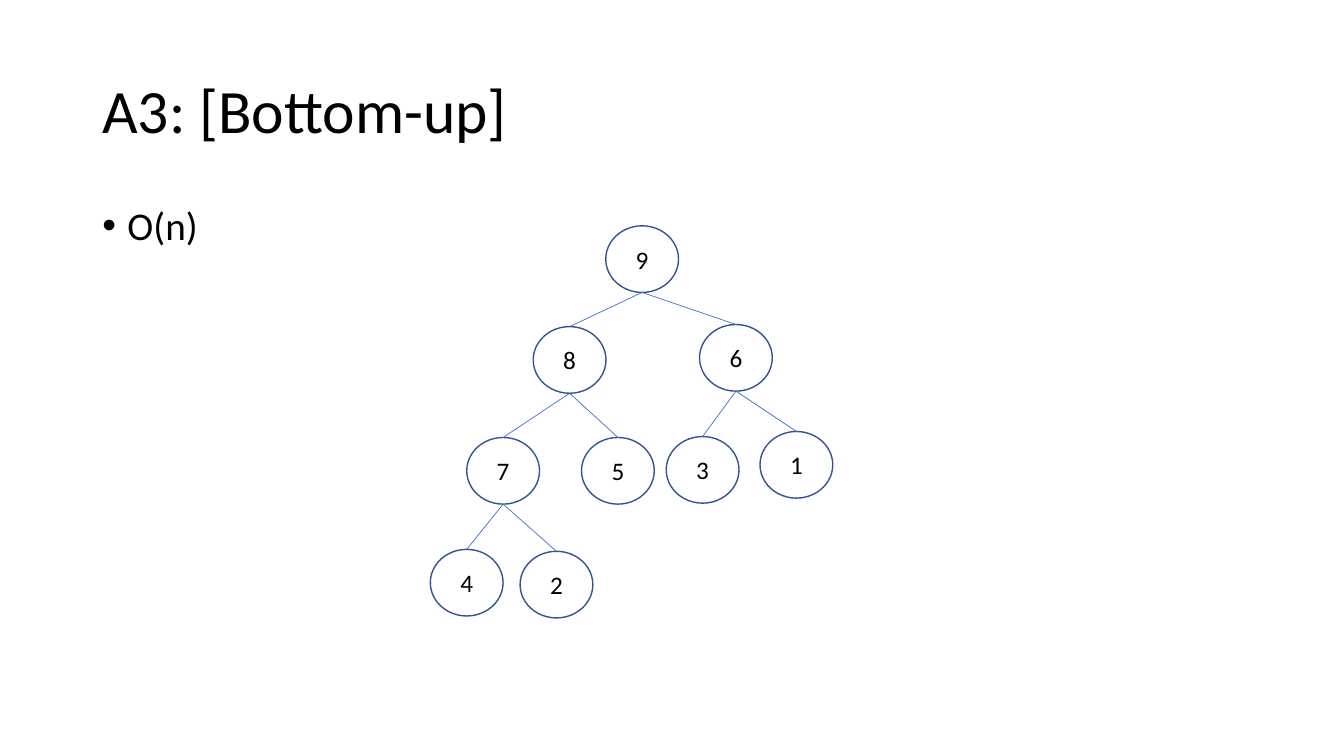
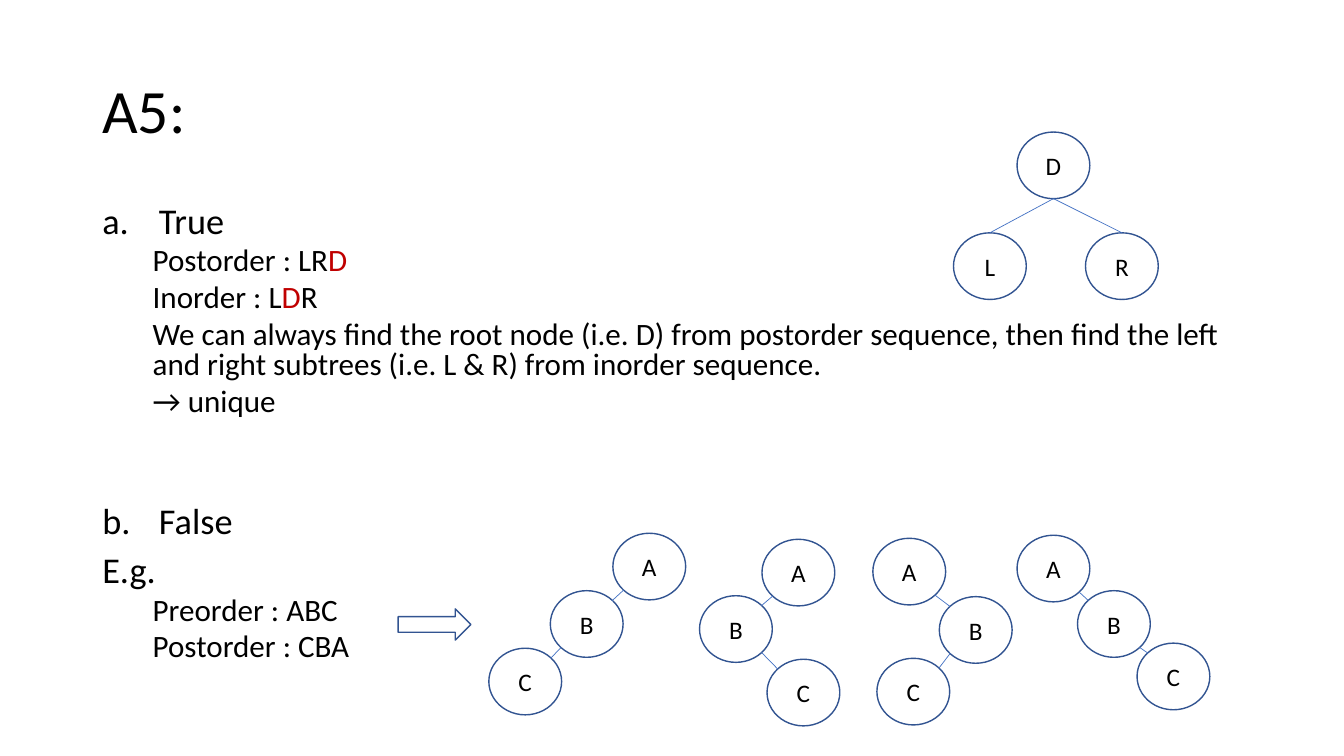
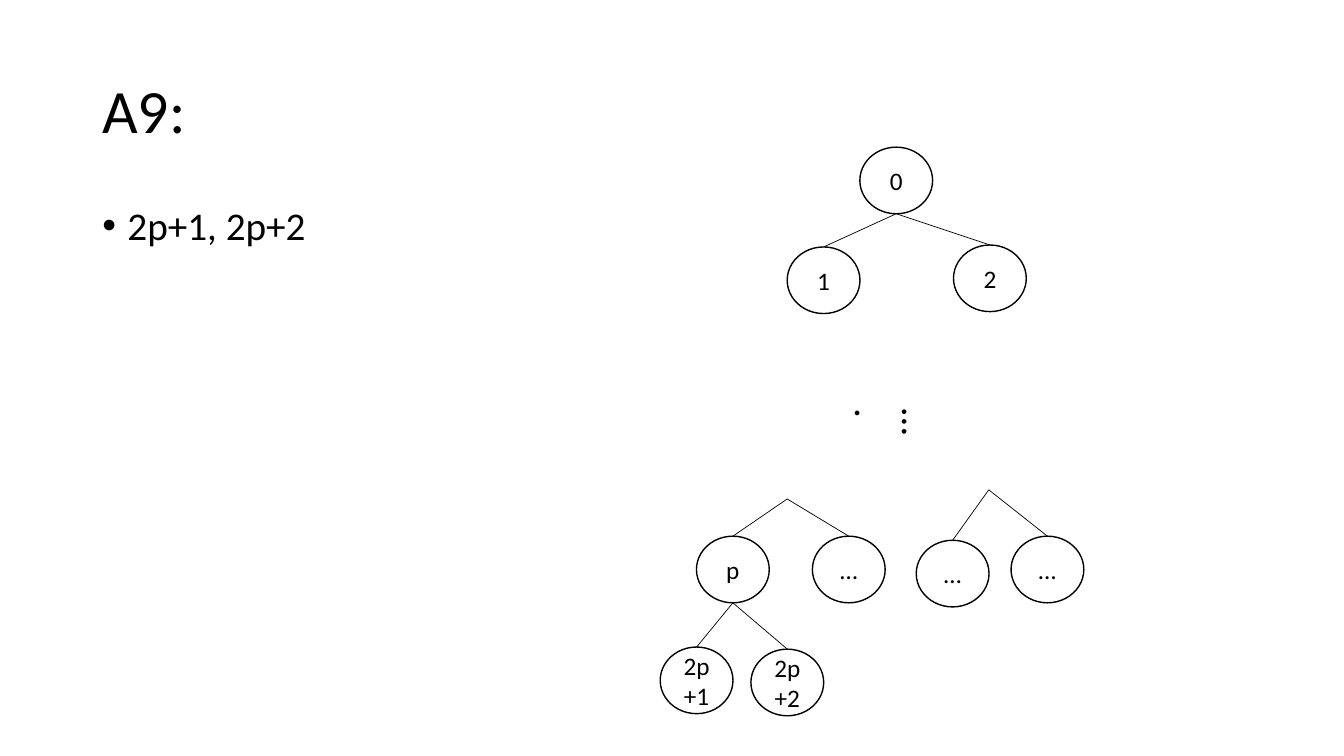
from dataclasses import dataclass
from typing import Optional

from lxml import etree
from pptx import Presentation
from pptx.dml.color import RGBColor
from pptx.enum.shapes import MSO_CONNECTOR, MSO_SHAPE
from pptx.enum.text import MSO_ANCHOR, MSO_AUTO_SIZE, PP_ALIGN
from pptx.oxml.ns import qn
from pptx.util import Pt

OVAL = MSO_SHAPE.OVAL
RIGHT_ARROW = MSO_SHAPE.RIGHT_ARROW
STRAIGHT = MSO_CONNECTOR.STRAIGHT
TOP, MIDDLE = MSO_ANCHOR.TOP, MSO_ANCHOR.MIDDLE
CENTER = PP_ALIGN.CENTER
GROW = MSO_AUTO_SIZE.SHAPE_TO_FIT_TEXT

FONT = "Calibri"
COLORS = {"text": "000000", "white": "FFFFFF", "outline": "325491",
          "link": "4472C4", "accent": "C00000"}
NODE_W, NODE_H = 52, 47.6
DIAGONAL = 0.35
MARGIN, CONTENT_W = 66, 828


@dataclass(frozen=True)
class Para:
    runs: tuple[tuple[str, str], ...]
    size: float = 28
    spacing: float = 0.9
    before: float = 10
    left: float = 0
    hang: float = 0
    bullet: str = ""


@dataclass(frozen=True)
class Node:
    text: str
    x: float
    y: float
    parent: Optional[int] = None
    apex: Optional[tuple[float, float]] = None

    @property
    def center(self) -> tuple[float, float]:
        return self.x + NODE_W / 2, self.y + NODE_H / 2


def rgb(name: str) -> RGBColor:
    return RGBColor.from_string(COLORS[name])


def write(p, text: str, size: float = 18, color: str = "text") -> None:
    r = p.add_run()
    r.text = text
    r.font.name = FONT
    r.font.size = Pt(size)
    r.font.color.rgb = rgb(color)


def set_bullet(p, para: Para) -> None:
    pPr = p._p.get_or_add_pPr()
    pPr.set("marL", str(Pt(para.left)))
    pPr.set("indent", str(Pt(-para.hang)))
    if para.bullet == "•":
        etree.SubElement(pPr, qn("a:buFont"), typeface="Arial")
        etree.SubElement(pPr, qn("a:buChar"), char=para.bullet)
    elif para.bullet:
        start = "abcdefgh".index(para.bullet) + 1
        etree.SubElement(pPr, qn("a:buAutoNum"), type="alphaLcPeriod", startAt=str(start))


def add_text(s, x: float, y: float, w: float, h: float, paras: list[Para], anchor=TOP):
    sp = s.shapes.add_textbox(Pt(x), Pt(y), Pt(w), Pt(h))
    tf = sp.text_frame
    tf.word_wrap = True
    tf.vertical_anchor = anchor
    for i, para in enumerate(paras):
        p = tf.add_paragraph() if i else tf.paragraphs[0]
        p.line_spacing = para.spacing
        p.space_before = Pt(para.before)
        set_bullet(p, para)
        for text, color in para.runs:
            write(p, text, size=para.size, color=color)
    return sp


def add_outlined(s, kind, x: float, y: float, w: float, h: float, outline: str):
    sp = s.shapes.add_shape(kind, Pt(x), Pt(y), Pt(w), Pt(h))
    sp.shadow.inherit = False
    sp.line.color.rgb = rgb(outline)
    sp.line.width = Pt(1)
    return sp


def add_node(s, node: Node, outline: str):
    sp = add_outlined(s, OVAL, node.x, node.y, NODE_W, NODE_H, outline)
    sp.fill.solid()
    sp.fill.fore_color.rgb = rgb("white")
    tf = sp.text_frame
    tf.word_wrap = True
    tf.vertical_anchor = MIDDLE
    p = tf.paragraphs[0]
    p.alignment = CENTER
    write(p, node.text)
    return sp


def add_link(s, start: tuple[float, float], end: tuple[float, float], color: str):
    cx = s.shapes.add_connector(STRAIGHT, *(Pt(v) for v in start + end))
    cx.line.color.rgb = rgb(color)
    cx.line.width = Pt(0.5)
    etree.SubElement(cx.element.spPr, qn("a:effectLst"))
    return cx


def draw_tree(s, nodes: list[Node], outline: str = "outline", link: str = "link") -> None:
    ovals = [add_node(s, node, outline) for node in nodes]
    for node, oval in zip(nodes, ovals):
        start = node.apex
        if node.parent is not None:
            parent = nodes[node.parent]
            start = parent.center[0], parent.y + NODE_H
        if start:
            cx = add_link(s, start, (node.center[0], node.y), link)
            cx.end_connect(oval, 0)


def draw_chain(s, nodes: list[Node]) -> None:
    for node in nodes:
        add_node(s, node, "outline")
    dy = NODE_H * DIAGONAL
    for upper, lower in zip(nodes, nodes[1:]):
        (ux, uy), (lx, ly) = upper.center, lower.center
        dx = NODE_W * DIAGONAL * (1 if lx > ux else -1)
        add_link(s, (ux + dx, uy + dy), (lx - dx, ly - dy), "link")


def plain(text: str, **kwargs) -> Para:
    return Para(((text, "text"),), **kwargs)


def point(text: str) -> Para:
    return plain(text, left=18, hang=18, bullet="•")


def answer(letter: str, text: str, before: float = 10) -> Para:
    return plain(text, size=25.9, spacing=0.8, before=before,
                 left=40.5, hang=40.5, bullet=letter)


def detail(*runs: tuple[str, str]) -> Para:
    return Para(runs, size=22.2, spacing=0.8, before=5, left=36)


def add_slide(prs, title: str, body: list[Para]):
    s = prs.slides.add_slide(prs.slide_layouts[6])
    add_text(s, MARGIN, 28.8, CONTENT_W, 104.4, [plain(title, size=44, before=0)], MIDDLE)
    add_text(s, MARGIN, 143.8, CONTENT_W, 342.6, body)
    return s


HEAP = [
    Node("9", 432.7, 161.3),
    Node("8", 380.9, 233.3, 0),
    Node("6", 499.7, 231.8, 0),
    Node("7", 333.4, 312.5, 1),
    Node("5", 415.4, 312.5, 1),
    Node("3", 475.9, 311.8, 2),
    Node("1", 542.9, 308.2, 2),
    Node("4", 307.4, 392.4, 3),
    Node("2", 371.5, 393.8, 3),
]
ROOT_LEFT_RIGHT = [
    Node("D", 726.5, 94.3),
    Node("L", 681.1, 166.3, 0),
    Node("R", 775.4, 166.3, 0),
]
CHAINS = [
    [(437.8, 380.9), (393.1, 421.9), (349.2, 463)],
    [(544.3, 385.2), (499.7, 425.5), (547.9, 470.9)],
    [(623.5, 384.5), (671, 426.2), (626.4, 470.2)],
    [(726.5, 382.3), (769.7, 421.9), (812.2, 459.4)],
]
LEFT_APEX, RIGHT_APEX = (562.3, 356.4), (706.3, 349.9)
INDEXED = [
    Node("0", 614.2, 105.1),
    Node("1", 562.3, 176.4, 0),
    Node("2", 681.1, 175, 0),
    Node("p", 497.5, 383, apex=LEFT_APEX),
    Node("…", 580.3, 383, apex=LEFT_APEX),
    Node("…", 654.5, 385.9, apex=RIGHT_APEX),
    Node("…", 722.2, 383, apex=RIGHT_APEX),
    Node("2p+1", 471.6, 462.2, 3),
    Node("2p+2", 536.4, 463.7, 3),
]


def build_heap_slide(prs) -> None:
    s = add_slide(prs, "A3: [Bottom-up]", [point("O(n)")])
    draw_tree(s, HEAP)


def build_traversal_slide(prs) -> None:
    s = add_slide(prs, "A5:", [
        answer("a", "True"),
        detail(("Postorder : LR", "text"), ("D", "accent")),
        detail(("Inorder : L", "text"), ("D", "accent"), ("R", "text")),
        detail(("We can always find the root node (i.e. D) from postorder sequence, "
                "then find the left and right subtrees (i.e. L & R) from inorder "
                "sequence.", "text")),
        detail(("→ unique", "text")),
        answer("b", "False", before=63),
        plain("E.g.", size=25.9, spacing=0.8),
        detail(("Preorder : ABC", "text")),
        detail(("Postorder : CBA", "text")),
    ])
    draw_tree(s, ROOT_LEFT_RIGHT)
    for places in CHAINS:
        draw_chain(s, [Node(text, x, y) for text, (x, y) in zip("ABC", places)])
    arrow = add_outlined(s, RIGHT_ARROW, 284.4, 434.9, 52, 22.3, "outline")
    arrow.fill.background()


def build_index_slide(prs) -> None:
    s = add_slide(prs, "A9:", [point("2p+1, 2p+2")])
    draw_tree(s, INDEXED, outline="text", link="text")
    dots = add_text(s, 627.8, 284.4, 48.2, 30.2, [plain("….", spacing=1.0, before=0)])
    dots.text_frame.auto_size = GROW
    dots.element.find(".//" + qn("a:bodyPr")).set("vert", "eaVert")


def main() -> None:
    prs = Presentation()
    prs.slide_width, prs.slide_height = Pt(960), Pt(540)
    build_heap_slide(prs)
    build_traversal_slide(prs)
    build_index_slide(prs)
    prs.save("out.pptx")


if __name__ == "__main__":
    main()
